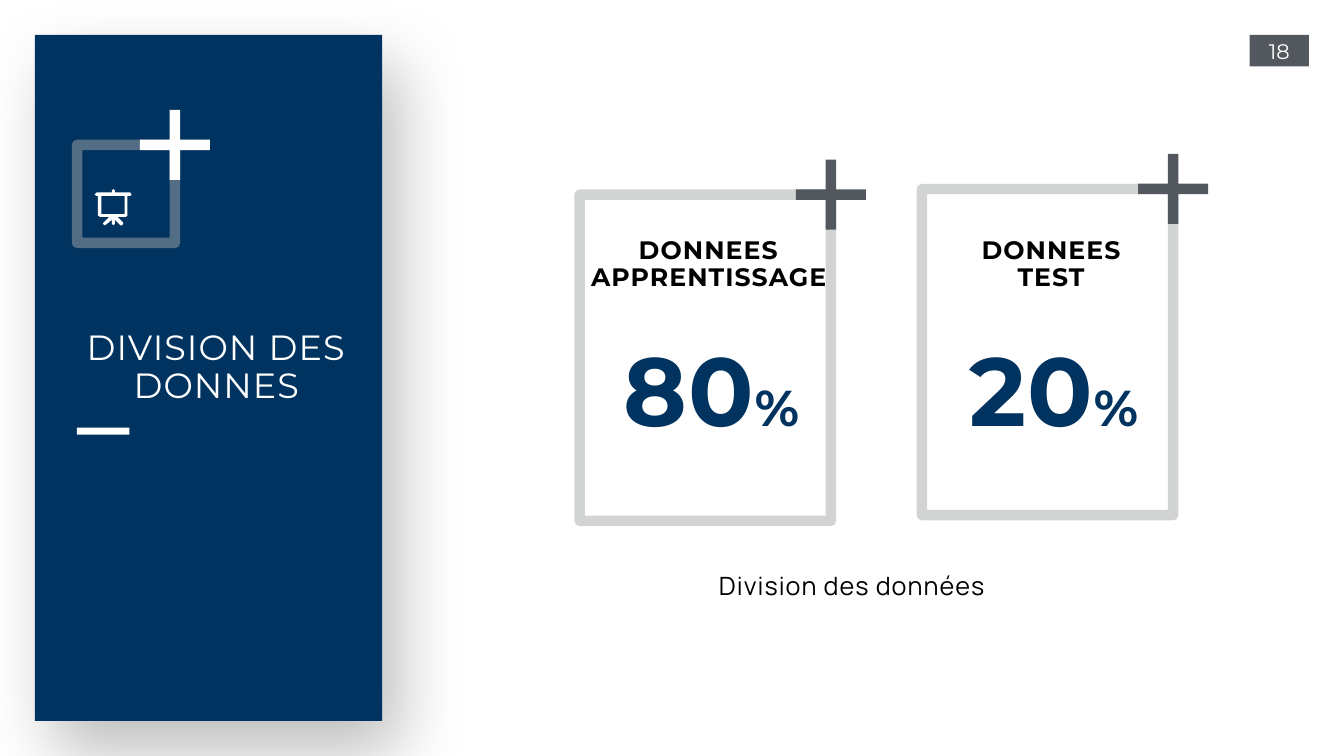
from dataclasses import dataclass

from lxml.etree import SubElement
from pptx import Presentation
from pptx.dml.color import RGBColor
from pptx.enum.shapes import MSO_SHAPE
from pptx.enum.text import MSO_ANCHOR, MSO_AUTO_SIZE, PP_ALIGN
from pptx.oxml.ns import qn
from pptx.util import Pt

COLUMNS, ROWS = 1920, 1080
CELL = Pt(1)


@dataclass(frozen=True)
class Theme:
    navy: str = "013360"
    slate: str = "53585F"
    frame: str = "A6AAA9"
    white: str = "FFFFFF"
    black: str = "000000"
    heading_font: str = "Montserrat"
    caption_font: str = "Manrope"
    tag_size: int = 30
    text_size: int = 36
    title_size: int = 50
    percent_size: int = 72
    value_size: int = 138
    tracking: float = 1.5
    frame_line: int = 15


THEME = Theme()


def cells(*lengths):
    return [int(length * CELL) for length in lengths]


def add_block(page, area, color, kind=MSO_SHAPE.RECTANGLE):
    block = page.shapes.add_shape(kind, *cells(*area))
    block.shadow.inherit = False
    block.fill.solid()
    block.fill.fore_color.rgb = RGBColor.from_string(color)
    block.line.fill.background()
    return block


def add_panel(page, area):
    panel = add_block(page, area, THEME.navy)
    effects = panel._element.spPr.find(qn("a:effectLst"))
    shadow = SubElement(effects, qn("a:outerShdw"), blurRad=str(Pt(100)),
                        dist=str(Pt(50)), dir=str(60 * 60000),
                        algn="ctr", rotWithShape="0")
    color = SubElement(shadow, qn("a:srgbClr"), val=THEME.black)
    SubElement(color, qn("a:alpha"), val="25000")


def add_frame(page, area, plus_color):
    left, top, width, height = area
    frame = page.shapes.add_shape(MSO_SHAPE.RECTANGLE, *cells(*area))
    frame.shadow.inherit = False
    frame.fill.background()
    frame.line.width = Pt(THEME.frame_line)
    frame.line.color.rgb = RGBColor.from_string(THEME.frame)
    color = frame.line._ln.find(".//" + qn("a:srgbClr"))
    SubElement(color, qn("a:alpha"), val="50000")
    side = 100
    plus_area = (left + width - side / 2, top - side / 2, side, side)
    plus = add_block(page, plus_area, plus_color, MSO_SHAPE.CROSS)
    plus.adjustments[0] = (side - THEME.frame_line) / 2 / side


def add_easel(page, center, top):
    half = [(0, 0), (2, 2), (2, 5), (24, 5), (26.5, 7.5), (24, 10), (21, 10),
            (21, 37.5), (18.5, 40.5), (6, 40.5), (14, 48.5), (14.5, 50),
            (12, 52.5), (11, 52), (2, 44), (2, 50), (0, 52.5)]
    outline = half + [(-x, y) for x, y in reversed(half)]
    screen = [(-16.5, 10), (16.5, 10), (16.5, 35.5), (-16.5, 35.5)]

    def place(points):
        return [(center + x, top + y) for x, y in points]

    outline, screen = place(outline), place(screen)
    builder = page.shapes.build_freeform(*outline[0], scale=float(CELL))
    builder.add_line_segments(outline[1:])
    builder.move_to(*screen[0])
    builder.add_line_segments(screen[1:])
    easel = builder.convert_to_shape()
    easel.shadow.inherit = False
    easel.fill.solid()
    easel.fill.fore_color.rgb = RGBColor.from_string(THEME.white)
    easel.line.fill.background()


def write(box, lines, size, color, font=THEME.heading_font, bold=False,
          anchor=MSO_ANCHOR.MIDDLE, spacing=0.9, tracking=THEME.tracking,
          inset=4.5, fit=MSO_AUTO_SIZE.SHAPE_TO_FIT_TEXT):
    frame = box.text_frame
    frame.word_wrap = True
    frame.auto_size = fit
    frame.vertical_anchor = anchor
    frame.margin_left = frame.margin_right = Pt(inset)
    frame.margin_top = frame.margin_bottom = Pt(min(inset, 4.5))
    frame.text = "\n".join(lines)
    for para in frame.paragraphs:
        para.alignment = PP_ALIGN.CENTER
        para.line_spacing = spacing
        para.font.name = font
        para.font.size = Pt(size)
        para.font.bold = bold
        para.font.color.rgb = RGBColor.from_string(color)
        para.font._element.set("spc", str(int(tracking * 100)))
    return frame


def add_text(page, area, lines, size, color, **style):
    box = page.shapes.add_textbox(*cells(*area))
    return write(box, lines, size, color, **style)


def add_title(page, area, text):
    title = page.shapes.title
    title.left, title.top, title.width, title.height = cells(*area)
    write(title, [text], THEME.title_size, THEME.white,
          anchor=MSO_ANCHOR.BOTTOM)
    page.shapes._spTree.append(title._element)


def add_card(page, left, top, label, value):
    add_frame(page, (left, top, 359, 466), THEME.slate)
    add_text(page, (left + 10.5, 335, 348, 86), label, THEME.text_size,
             THEME.black, bold=True)
    frame = add_text(page, (left + 14, 485, 348, 158), [value],
                     THEME.value_size, THEME.navy, bold=True)
    span = frame.paragraphs[0].add_run()
    span.text = "%"
    span.font.size = Pt(THEME.percent_size)


def main():
    deck = Presentation()
    deck.slide_width, deck.slide_height = cells(COLUMNS, ROWS)
    page = deck.slides.add_slide(deck.slide_layouts[5])

    add_panel(page, (50, 50, 496, 980))
    tag = add_block(page, (1785, 50, 85, 45), THEME.slate)
    write(tag, ["18"], THEME.tag_size, THEME.white, anchor=MSO_ANCHOR.TOP,
          spacing=1.0, tracking=0, fit=MSO_AUTO_SIZE.NONE)

    add_easel(page, 161.5, 270)
    add_frame(page, (110, 207, 140, 140), THEME.white)
    add_title(page, (90, 467, 438, 117), "DIVISION DES DONNES")
    add_block(page, (110, 611, 75, 10), THEME.white)

    add_card(page, 828, 278, ["DONNEES APPRENTISSAGE"], "80")
    add_card(page, 1317, 270, ["DONNEES", "TEST"], "20")
    add_text(page, (724, 810, 986, 112), ["Division des données"],
             THEME.text_size, THEME.black, font=THEME.caption_font,
             anchor=MSO_ANCHOR.TOP, spacing=1.0, inset=7.2,
             fit=MSO_AUTO_SIZE.NONE)
    deck.save("out.pptx")


if __name__ == "__main__":
    main()
